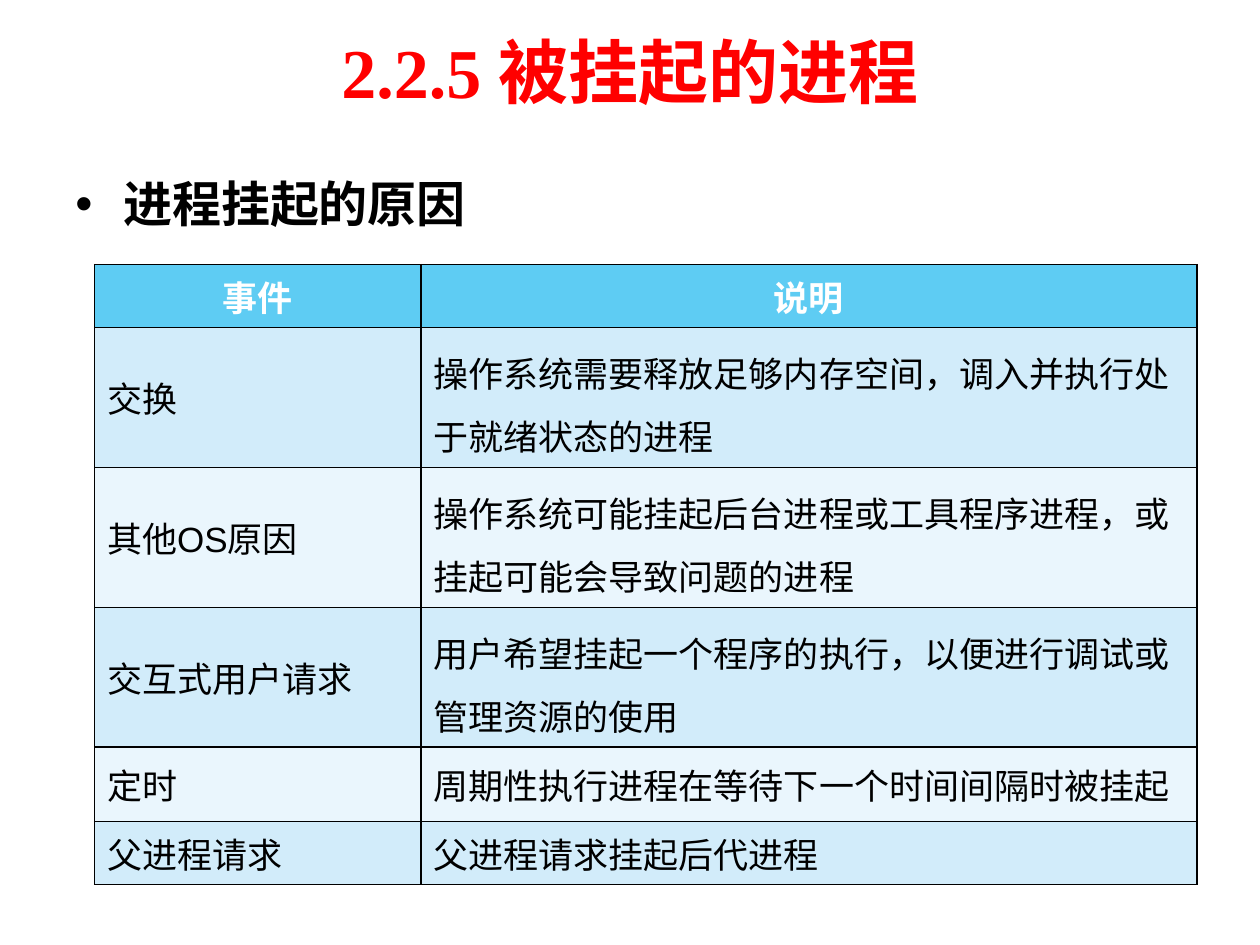
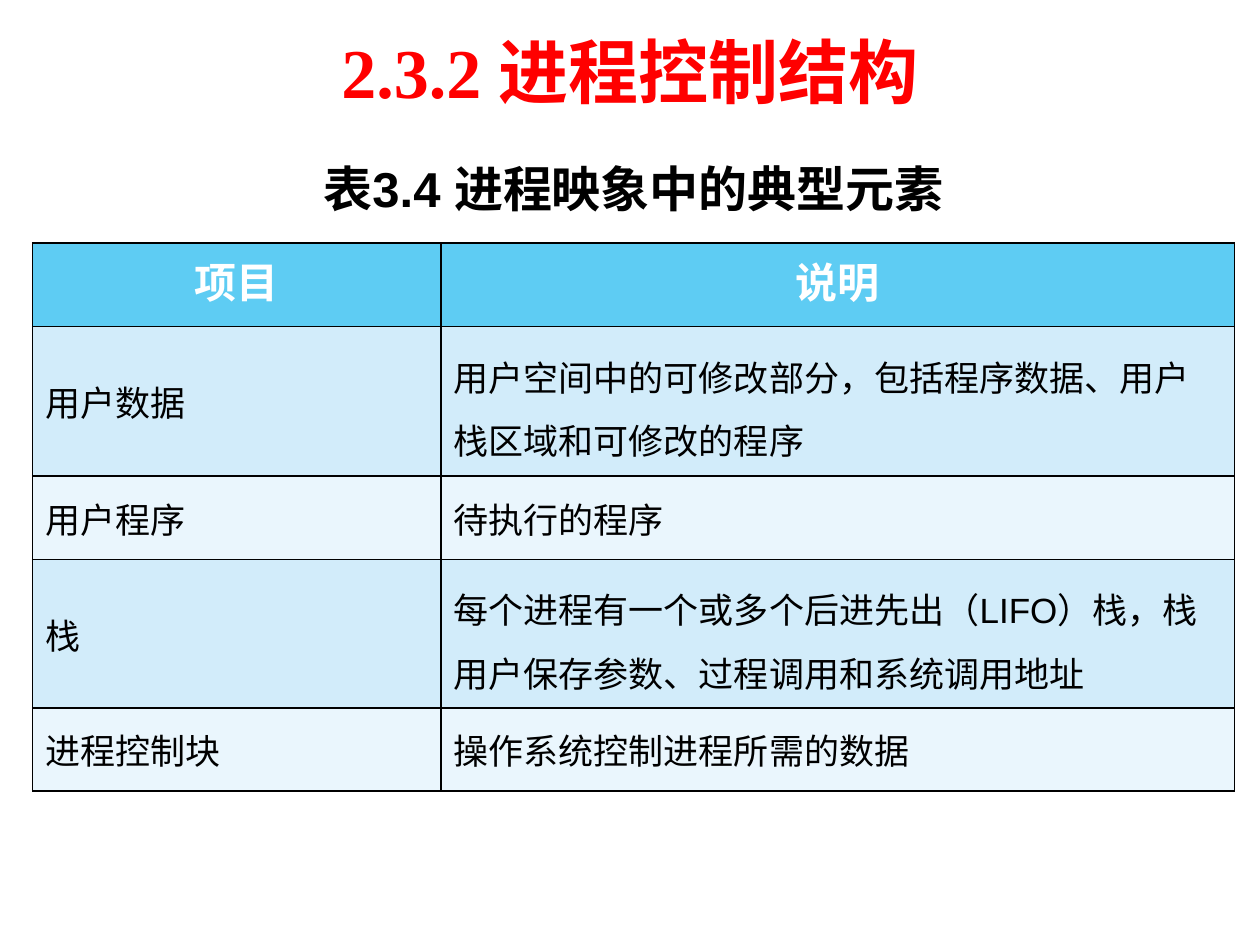
from lxml.etree import SubElement
from pptx import Presentation
from pptx.dml.color import RGBColor
from pptx.enum.text import MSO_ANCHOR as ANCHOR, PP_ALIGN as ALIGN
from pptx.oxml.ns import qn
from pptx.util import Inches, Pt

RED = RGBColor(0xFF, 0x00, 0x00)
BLACK = RGBColor(0x00, 0x00, 0x00)
WHITE = RGBColor(0xFF, 0xFF, 0xFF)
HEADER_FILL = RGBColor(0x5E, 0xCC, 0xF3)
BAND_FILLS = (RGBColor(0xD2, 0xEC, 0xFA), RGBColor(0xEA, 0xF6, 0xFD))
TITLE_FONT = "Times New Roman"
BODY_FONT = "Arial"
LINE_CHARS = 22

SUSPEND_REASONS = [
    ("事件", "说明"),
    ("交换", "操作系统需要释放足够内存空间，调入并执行处于就绪状态的进程"),
    ("其他OS原因", "操作系统可能挂起后台进程或工具程序进程，或挂起可能会导致问题的进程"),
    ("交互式用户请求", "用户希望挂起一个程序的执行，以便进行调试或管理资源的使用"),
    ("定时", "周期性执行进程在等待下一个时间间隔时被挂起"),
    ("父进程请求", "父进程请求挂起后代进程"),
]
IMAGE_ELEMENTS = [
    ("项目", "说明"),
    ("用户数据", "用户空间中的可修改部分，包括程序数据、用户栈区域和可修改的程序"),
    ("用户程序", "待执行的程序"),
    ("栈", "每个进程有一个或多个后进先出（LIFO）栈，栈用户保存参数、过程调用和系统调用地址"),
    ("进程控制块", "操作系统控制进程所需的数据"),
]


def add_run(p, text, size, color=BLACK, bold=True, font=BODY_FONT):
    r = p.add_run()
    r.text = text
    r.font.size = Pt(size)
    r.font.name = font
    r.font.bold = bold
    r.font.color.rgb = color


def add_text(slide, left, top, width, height):
    box = slide.shapes.add_textbox(Inches(left), Inches(top), Inches(width), Inches(height))
    tf = box.text_frame
    tf.word_wrap = True
    return tf


def add_title(slide, text):
    tf = add_text(slide, 0.5, 0.05, 9, 1.02)
    tf.vertical_anchor = ANCHOR.MIDDLE
    p = tf.paragraphs[0]
    p.alignment = ALIGN.CENTER
    add_run(p, text, 40, RED, font=TITLE_FONT)


def add_subtitle(slide, text, left, top, width, height, bullet=False):
    p = add_text(slide, left, top, width, height).paragraphs[0]
    if bullet:
        pPr = p._p.get_or_add_pPr()
        pPr.set("marL", str(Inches(0.38)))
        pPr.set("indent", str(Inches(-0.38)))
        SubElement(pPr, qn("a:buFont"), typeface=BODY_FONT)
        SubElement(pPr, qn("a:buChar"), char="•")
    add_run(p, text, 28)


def set_borders(cell):
    tcPr = cell._tc.get_or_add_tcPr()
    for i, side in enumerate(("lnL", "lnR", "lnT", "lnB")):
        ln = tcPr.makeelement(qn(f"a:{side}"), {"w": str(Pt(1))})
        fill = SubElement(ln, qn("a:solidFill"))
        SubElement(fill, qn("a:srgbClr"), val=str(BLACK))
        tcPr.insert(i, ln)


def fill_cell(cell, text, row, header_size):
    cell.fill.solid()
    p = cell.text_frame.paragraphs[0]
    if row == 0:
        cell.fill.fore_color.rgb = HEADER_FILL
        p.alignment = ALIGN.CENTER
        add_run(p, text, header_size, WHITE)
    else:
        cell.fill.fore_color.rgb = BAND_FILLS[(row - 1) % 2]
        cell.vertical_anchor = ANCHOR.MIDDLE
        if len(text) > LINE_CHARS:
            p.line_spacing = 1.25
        add_run(p, text, 20, bold=False)
    set_borders(cell)


def add_grid(slide, rows, left, top, widths, heights, header_size):
    frame = slide.shapes.add_table(len(rows), len(widths), Inches(left), Inches(top),
                                   Inches(sum(widths)), Inches(sum(heights)))
    table = frame.table
    for column, width in zip(table.columns, widths):
        column.width = Inches(width)
    for i, (texts, height) in enumerate(zip(rows, heights)):
        table.rows[i].height = Inches(height)
        for j, text in enumerate(texts):
            fill_cell(table.cell(i, j), text, i, header_size)


def add_slide(prs, title):
    slide = prs.slides.add_slide(prs.slide_layouts[6])
    add_title(slide, title)
    return slide


def main():
    prs = Presentation()
    prs.slide_width = Inches(10)
    prs.slide_height = Inches(7.5)

    slide = add_slide(prs, "2.2.5 被挂起的进程")
    add_subtitle(slide, "进程挂起的原因", 0.5, 1.33, 9, 0.61, bullet=True)
    add_grid(slide, SUSPEND_REASONS, 0.75, 2.1, (2.59, 6.16),
             (0.5, 1.11, 1.11, 1.11, 0.59, 0.5), 20)

    slide = add_slide(prs, "2.3.2 进程控制结构")
    add_grid(slide, IMAGE_ELEMENTS, 0.26, 1.93, (3.24, 6.3),
             (0.66, 1.19, 0.66, 1.18, 0.66), 24)
    add_subtitle(slide, "表3.4 进程映象中的典型元素", 2.47, 1.21, 5.36, 0.7)

    prs.save("out.pptx")


if __name__ == "__main__":
    main()
